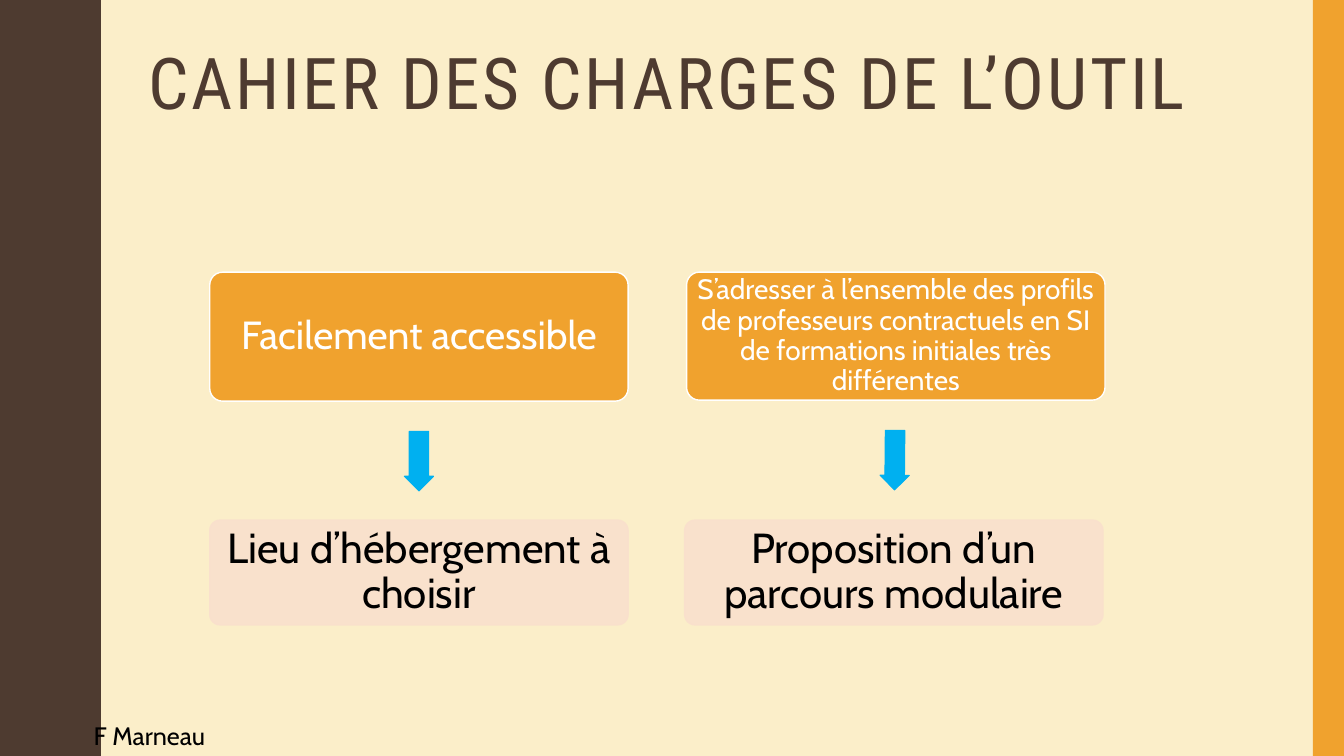
"""Build the slide that sets out the requirements of the tool."""
from lxml import etree
from pptx import Presentation
from pptx.dml.color import RGBColor
from pptx.enum.shapes import MSO_SHAPE
from pptx.enum.text import MSO_ANCHOR, MSO_AUTO_SIZE, PP_ALIGN
from pptx.oxml.ns import qn
from pptx.util import Inches, Pt

BROWN = RGBColor(0x4E, 0x3B, 0x30)
CREAM = RGBColor(0xFB, 0xEE, 0xC9)
ORANGE = RGBColor(0xF0, 0xA2, 0x2E)
PEACH = RGBColor(0xF9, 0xE0, 0xCD)
BLUE = RGBColor(0x00, 0xB0, 0xF0)
WHITE = RGBColor(0xFF, 0xFF, 0xFF)
BLACK = RGBColor(0x00, 0x00, 0x00)
RECT, ROUND, ARROW = MSO_SHAPE.RECTANGLE, MSO_SHAPE.ROUNDED_RECTANGLE, MSO_SHAPE.RIGHT_ARROW
TOP, MIDDLE = MSO_ANCHOR.TOP, MSO_ANCHOR.MIDDLE
LEFT, CENTER = PP_ALIGN.LEFT, PP_ALIGN.CENTER
FIXED = MSO_AUTO_SIZE.NONE


def paint(shape, fill, line=None, width=1):
    """Set the fill and outline of a shape and drop its shadow."""
    shape.shadow.inherit = False
    shape.fill.solid()
    shape.fill.fore_color.rgb = fill
    if line is None:
        shape.line.fill.background()
    else:
        shape.line.color.rgb = line
        shape.line.width = Pt(width)


def write(shape, text, size, color, name="Cabin", frame=None, para=None):
    """Put one formatted run of text in a shape."""
    box = shape.text_frame
    part = box.paragraphs[0]
    run = part.add_run()
    run.text = text
    run.font.color.rgb = color
    looks = [
        (box, {"word_wrap": True, "auto_size": FIXED, **(frame or {})}),
        (part, para or {}),
        (run.font, {"size": Pt(size), "name": name}),
    ]
    for target, values in looks:
        for key, value in values.items():
            setattr(target, key, value)
    return run


deck = Presentation()
deck.slide_width, deck.slide_height = Inches(13.33), Inches(7.5)
slide = deck.slides.add_slide(deck.slide_layouts[5])
slide.background.fill.solid()
slide.background.fill.fore_color.rgb = CREAM
shapes = slide.shapes

rise = [(0.78, 0), (0.78, 0.07), (0.79, 0.14), (0.8, 0.2), (0.81, 0.25),
        (0.83, 0.29), (0.85, 0.33), (0.87, 0.38), (0.89, 0.42), (0.91, 0.46),
        (0.93, 0.5), (0.95, 0.55), (0.96, 0.61), (0.97, 0.68), (0.97, 0.75)]
wave = rise + [(x, 1.5 - y) for x, y in reversed(rise)]
edge = [(x, y + 1.5 * step) for step in range(5) for x, y in wave]
form = shapes.build_freeform(0, 0, scale=Inches(1))
form.add_line_segments(edge + [(0, 7.5)], close=True)
paint(form.convert_to_shape(), BROWN)

band = shapes.add_shape(RECT, Inches(13.02), 0, Inches(0.31), Inches(7.5))
paint(band, ORANGE)

title = shapes.title
title.left, title.top = Inches(1.37), Inches(0.42)
title.width, title.height = Inches(11.13), Inches(1.63)
head = write(title, "CAHIER DES CHARGES DE L’OUTIL", 51, BROWN, "Roboto Condensed",
             {"vertical_anchor": TOP}, {"alignment": LEFT, "line_spacing": 0.9})
head.font._element.set("spc", "200")

columns = [
    (2.08, 2.08, 1.28, "Facilement accessible", 28, 0.04,
     3.86, 4.43, 90, "Lieu d’hébergement à choisir"),
    (6.81, 6.79, 1.27,
     "S’adresser à l’ensemble des profils de professeurs contractuels en SI "
     "de formations initiales très différentes", 20, 0.03,
     8.58, 4.42, 90.5, "Proposition d’un parcours modulaire"),
]
for need_x, plan_x, tall, need, size, inset, tip_x, tip_y, turn, plan in columns:
    cards = [
        (need_x, 2.7, tall, need, size, inset, ORANGE, WHITE, WHITE),
        (plan_x, 5.16, 1.04, plan, 30, 0.04, PEACH, PEACH, BLACK),
    ]
    for x, y, high, text, points, pad, fill, line, ink in cards:
        card = shapes.add_shape(ROUND, Inches(x), Inches(y), Inches(4.15), Inches(high))
        card.adjustments[0] = 0.1
        paint(card, fill, line)
        frame = {f"margin_{side}": Inches(pad) for side in ("left", "right", "top", "bottom")}
        write(card, text, points, ink, frame={**frame, "vertical_anchor": MIDDLE},
              para={"alignment": CENTER, "line_spacing": 0.9})
        if fill == PEACH:
            for tint in card._element.spPr.iter(qn("a:srgbClr")):
                etree.SubElement(tint, qn("a:alpha"), val="90000")

    arrow = shapes.add_shape(ARROW, Inches(tip_x), Inches(tip_y), Inches(0.59), Inches(0.29))
    arrow.rotation = turn
    arrow.adjustments[0], arrow.adjustments[1] = 0.667, 0.5
    paint(arrow, BLUE, BLUE, 0.75)

author = shapes.add_textbox(Inches(0.83), Inches(7.1), Inches(2.57), Inches(0.4))
write(author, "F Marneau", 18, BLACK)

deck.save("out.pptx")
